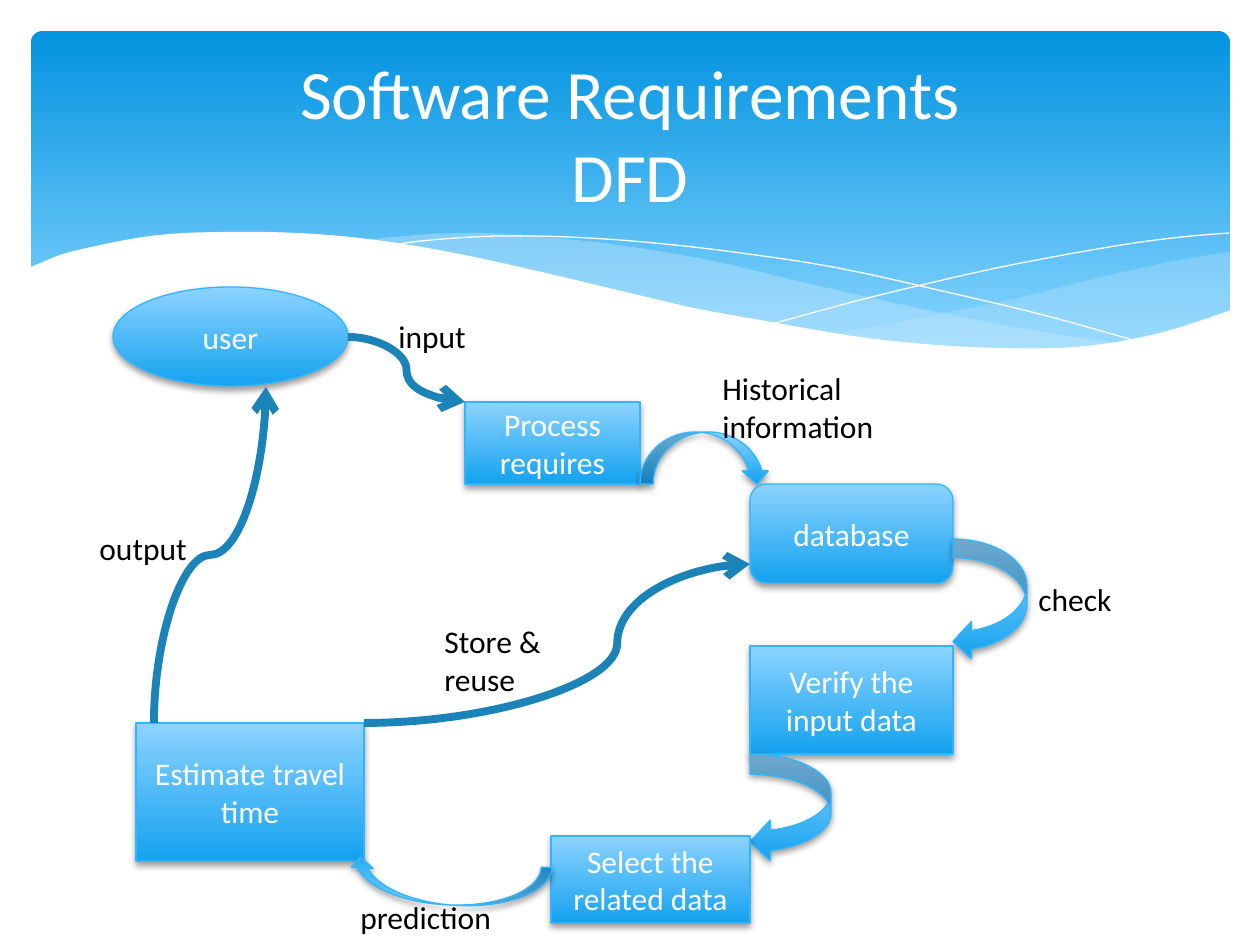
from dataclasses import dataclass
from typing import NamedTuple

from lxml import etree
from pptx import Presentation
from pptx import util as u
from pptx.dml.color import RGBColor
from pptx.enum import shapes, text
from pptx.oxml.ns import qn

PX = 914400 / 126  # EMU in one pixel
G = shapes.MSO_SHAPE


@dataclass(frozen=True)
class Theme:
    font: str = "Calibri"
    title_size: float = 39.6
    body_size: float = 18
    white: str = "FFFFFF"
    black: str = "000000"
    wave: str = "C6E7FC"
    banner: tuple = ((0, "0293E0"), (0.9, "83D3FE"))
    node: tuple = ((0, "8CD3FF"), (1, "14A2EF"))
    edge: str = "31B6FD"
    flow: str = "1C83B9"


class Wave(NamedTuple):
    curves: list
    fill: str | None = None
    alpha: int = 100


class Node(NamedTuple):
    shape: G
    box: tuple
    label: str = ""
    rotation: float = 0


class Flow(NamedTuple):
    start: tuple
    end: tuple
    bend: float = 0.5
    vertical: bool = False


class Label(NamedTuple):
    box: tuple
    label: str


T = Theme()

WAVES = [
    Wave([[(1230, 252), (1179, 260), (1123, 272), (1085, 281), (1014, 299), (949, 312),
           (890, 324), (833, 334)],
          [(833, 334), (906, 342), (969, 348), (1026, 350), (1077, 348), (1120, 343),
           (1157, 335), (1193, 324), (1230, 311)]], T.wave, 29),
    Wave([[(1125, 344), (1055, 334), (977, 320), (890, 302), (793, 280), (736, 266),
           (682, 255), (632, 247), (586, 241), (529, 236), (479, 233), (433, 234),
           (394, 237), (360, 241)],
          [(360, 241), (407, 247), (456, 256), (509, 266), (566, 280), (668, 302),
           (757, 321), (838, 335), (910, 345), (974, 350), (1031, 350), (1080, 348),
           (1125, 344)]], T.wave, 40),
    Wave([[(389, 246), (413, 242), (457, 238), (505, 236), (567, 237), (643, 242),
           (733, 252), (838, 268), (955, 294), (1047, 316), (1143, 343)]]),
    Wave([[(772, 324), (823, 310), (876, 296), (978, 272), (1053, 257), (1128, 244),
           (1182, 237), (1229, 233)]]),
    Wave([[(1231, 310), (1184, 326), (1147, 336), (1103, 344), (1055, 348), (999, 348),
           (937, 345), (867, 338), (816, 330), (760, 320), (699, 309), (634, 294),
           (563, 277), (493, 261), (428, 248), (368, 239), (315, 234), (266, 232),
           (223, 232), (184, 233), (150, 236), (120, 241), (96, 246), (66, 253),
           (45, 261), (29, 268)],
          [(29, 415), (1231, 415)]], T.white),
]

NODES = [
    Node(G.OVAL, (113, 287, 235, 99), "user"),
    Node(G.RECTANGLE, (465, 402, 175, 82), "Process requires"),
    Node(G.CURVED_DOWN_ARROW, (640, 432, 130, 52)),
    Node(G.ROUNDED_RECTANGLE, (750, 484, 203, 99), "database"),
    Node(G.CURVED_LEFT_ARROW, (953, 539, 74, 121)),
    Node(G.RECTANGLE, (750, 646, 203, 108), "Verify the input data"),
    Node(G.CURVED_LEFT_ARROW, (750, 754, 81, 108)),
    Node(G.RECTANGLE, (551, 836, 199, 87), "Select the related data"),
    Node(G.RECTANGLE, (136, 723, 228, 138), "Estimate travel time"),
    Node(G.CURVED_DOWN_ARROW, (348, 862, 203, 43), rotation=183.2),
]

FLOWS = [
    Flow((348, 337), (465, 402)),
    Flow((364, 723), (750, 564), bend=0.656),
    Flow((154, 723), (266, 387), vertical=True),
]

LABELS = [
    Label((386, 311, 166, 51), "input"),
    Label((87, 523, 134, 51), "output"),
    Label((710, 363, 240, 89), "Historical information"),
    Label((1026, 574, 152, 51), "check"),
    Label((348, 892, 182, 53), "prediction"),
    Label((432, 616, 160, 89), "Store & reuse"),
]


def emu(values) -> list[int]:
    return [round(v * PX) for v in values]


def rgb(color: str) -> RGBColor:
    return RGBColor.from_string(color)


def smooth(pts: list, steps: int = 4) -> list:
    """Points along a Catmull-Rom curve."""
    out = [pts[0]]
    padded = [pts[0], *pts, pts[-1]]
    for a, b, c, d in zip(padded, padded[1:], padded[2:], padded[3:]):
        for t in (k / steps for k in range(1, steps + 1)):
            out.append(tuple(
                (2 * q + (r - p) * t + (2 * p - 5 * q + 4 * r - v) * t**2
                 + (3 * q - p - 3 * r + v) * t**3) / 2
                for p, q, r, v in zip(a, b, c, d)))
    return out


def gradient(sp, stops: tuple) -> None:
    sp.fill.gradient()
    sp.fill.gradient_angle = 270
    for stop, (position, color) in zip(sp.fill.gradient_stops, stops):
        stop.position = position
        stop.color.rgb = rgb(color)


def add_text(p, label: str, size: float, color: str) -> None:
    r = p.add_run()
    r.text = label
    r.font.name, r.font.size = T.font, u.Pt(size)
    r.font.color.rgb = rgb(color)


def add_shadow(sp) -> None:
    effects = sp._element.spPr.find(qn("a:effectLst"))
    shadow = etree.SubElement(effects, qn("a:outerShdw"), blurRad=str(u.Pt(4)),
                              dist=str(u.Pt(2)), dir="5400000", rotWithShape="0")
    color = etree.SubElement(shadow, qn("a:srgbClr"), val=T.black)
    etree.SubElement(color, qn("a:alpha"), val="38000")


def draw_wave(s, wave: Wave) -> None:
    pts = [emu(pt) for curve in wave.curves for pt in smooth(curve)]
    builder = s.shapes.build_freeform(*pts[0], scale=1.0)
    builder.add_line_segments(pts[1:], close=wave.fill is not None)
    sp = builder.convert_to_shape()
    sp.shadow.inherit = False
    if wave.fill is None:
        sp.fill.background()
        sp.line.color.rgb = rgb(T.white)
        sp.line.width = u.Pt(0)
        return
    sp.fill.solid()
    sp.fill.fore_color.rgb = rgb(wave.fill)
    if wave.alpha < 100:
        color = next(sp._element.spPr.iter(qn("a:srgbClr")))
        etree.SubElement(color, qn("a:alpha"), val=str(wave.alpha * 1000))
    sp.line.fill.background()


def draw_node(s, node: Node) -> None:
    sp = s.shapes.add_shape(node.shape, *emu(node.box))
    sp.rotation = node.rotation
    gradient(sp, T.node)
    sp.line.color.rgb = rgb(T.edge)
    sp.line.width = u.Pt(0.75)
    sp.shadow.inherit = False
    add_shadow(sp)
    if node.label:
        tf = sp.text_frame
        tf.word_wrap = True
        tf.vertical_anchor = text.MSO_ANCHOR.MIDDLE
        p = tf.paragraphs[0]
        p.alignment = text.PP_ALIGN.CENTER
        add_text(p, node.label, T.body_size, T.white)


def draw_flow(s, flow: Flow) -> None:
    ends = [flow.start, flow.end]
    if flow.vertical:  # lay the ends flat, then turn the line a quarter
        cx, cy = ((a + b) / 2 for a, b in zip(*ends))
        ends = [(cx + y - cy, cy - x + cx) for x, y in ends]
    cn = s.shapes.add_connector(shapes.MSO_CONNECTOR.CURVE, *emu(ends[0] + ends[1]))
    cn.line.color.rgb = rgb(T.flow)
    cn.line.width = u.Pt(4.5)
    props = cn._element.spPr
    if flow.vertical:
        props.find(qn("a:xfrm")).set("rot", "5400000")
    etree.SubElement(props.find(qn("a:prstGeom")).find(qn("a:avLst")), qn("a:gd"),
                     name="adj1", fmla=f"val {round(flow.bend * 100000)}")
    etree.SubElement(props.find(qn("a:ln")), qn("a:tailEnd"), type="arrow")
    etree.SubElement(props, qn("a:effectLst"))


def draw_label(s, label: Label) -> None:
    tf = s.shapes.add_textbox(*emu(label.box)).text_frame
    tf.word_wrap = True
    add_text(tf.paragraphs[0], label.label, T.body_size, T.black)


prs = Presentation()
prs.slide_width, prs.slide_height = u.Inches(10), u.Inches(7.5)
s = prs.slides.add_slide(prs.slide_layouts[5])

# Banner and waves
banner = s.shapes.add_shape(G.ROUNDED_RECTANGLE, *emu((31, 31, 1199, 340)))
banner.adjustments[0] = 0.034
gradient(banner, T.banner)
banner.line.fill.background()
banner.shadow.inherit = False
for wave in WAVES:
    draw_wave(s, wave)

# Title, brought in front of the banner
title = s.shapes.title
s.shapes._spTree.append(title._element)
title.left, title.top, title.width, title.height = emu((63, 47, 1134, 172))
tf = title.text_frame
tf.word_wrap = True
tf.auto_size = text.MSO_AUTO_SIZE.NONE
tf.vertical_anchor = text.MSO_ANCHOR.MIDDLE
p = tf.paragraphs[0]
p.alignment = text.PP_ALIGN.CENTER
add_text(p, "Software Requirements", T.title_size, T.white)
p.add_line_break()
add_text(p, "DFD", T.title_size, T.white)

# Diagram
for draw, items in ((draw_node, NODES), (draw_flow, FLOWS), (draw_label, LABELS)):
    for item in items:
        draw(s, item)

prs.save("out.pptx")
